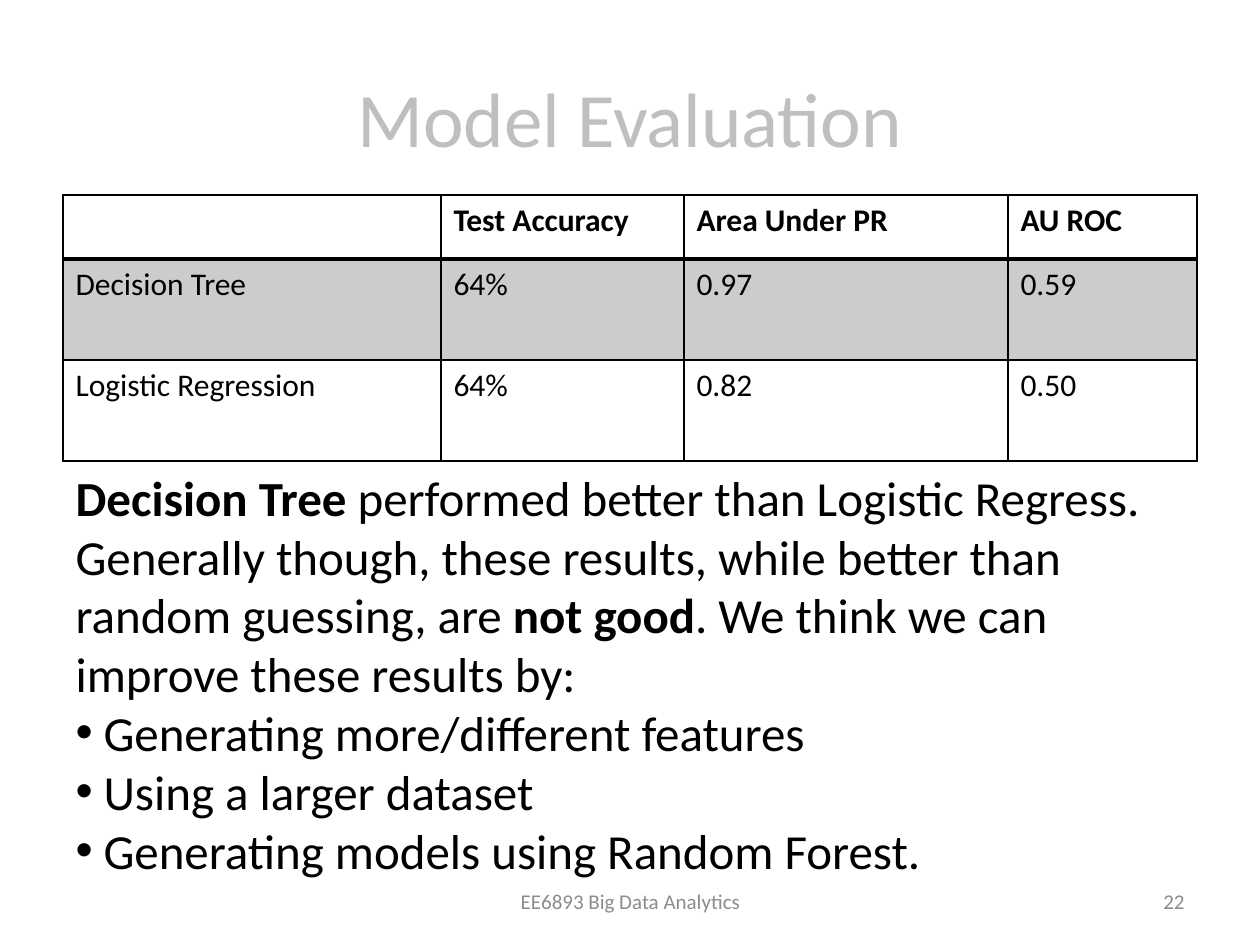
"""Build the model evaluation slide with its results table and conclusions."""
from dataclasses import dataclass

import pptx
import pptx.dml.color
import pptx.enum.text
import pptx.oxml.ns
import pptx.oxml.xmlchemy
import pptx.util
from lxml import etree

PX = 914400 // 126
FONT = "Calibri"
COLORS = {"title": "BFBFBF", "text": "000000", "footer": "8C8C8C",
          "band": "CCCCCC", "border": "000000"}
ALIGN = pptx.enum.text.PP_ALIGN
ANCHOR = pptx.enum.text.MSO_ANCHOR
COLUMNS = [378, 243, 324, 189]
ROWS = [64, 101, 101]
RESULTS = [
    ["", "Test Accuracy", "Area Under PR", "AU ROC"],
    ["Decision Tree", "64%", "0.97", "0.59"],
    ["Logistic Regression", "64%", "0.82", "0.50"],
]
BULLET_INDENT = 28


@dataclass
class Box:
    x: int
    y: int
    w: int
    h: int

    def emu(self) -> tuple[int, ...]:
        return tuple(v * PX for v in (self.x, self.y, self.w, self.h))


@dataclass
class Note:
    text: str
    box: Box
    align: ALIGN


@dataclass
class Para:
    runs: list[tuple[str, bool]]
    bullet: bool = False


NOTES = [
    Note("EE6893 Big Data Analytics", Box(431, 876, 399, 50), ALIGN.CENTER),
    Note("22", Box(903, 876, 294, 50), ALIGN.RIGHT),
]
BODY = [
    Para([("Decision Tree", True),
          (" performed better than Logistic Regress.", False)]),
    Para([("Generally though, these results, while better than random guessing, are ", False),
          ("not good", True),
          (". We think we can improve these results by:", False)]),
    Para([("Generating more/different features", False)], bullet=True),
    Para([("Using a larger dataset", False)], bullet=True),
    Para([("Generating models using Random Forest.", False)], bullet=True),
]


def rgb(name: str) -> pptx.dml.color.RGBColor:
    return pptx.dml.color.RGBColor.from_string(COLORS[name])


def sub(parent, tag: str, **attrs: str):
    return etree.SubElement(parent, pptx.oxml.ns.qn(tag), attrs)


def set_font(font, size: int, color: str) -> None:
    font.name, font.size = FONT, pptx.util.Pt(size)
    font.color.rgb = rgb(color)


def place(sp, box: Box) -> None:
    sp.left, sp.top, sp.width, sp.height = box.emu()


def add_borders(cell, header: bool, below_header: bool) -> None:
    tc_pr = cell._tc.get_or_add_tcPr()
    for i, side in enumerate("LRTB"):
        thick = (header and side == "B") or (below_header and side == "T")
        ln = etree.Element(pptx.oxml.ns.qn(f"a:ln{side}"),
                           {"w": str(pptx.util.Pt(2 if thick else 1))})
        sub(sub(ln, "a:solidFill"), "a:srgbClr", val=COLORS["border"])
        tc_pr.insert(i, ln)


def add_results(s, box: Box) -> None:
    table = s.shapes.add_table(len(ROWS), len(COLUMNS), *box.emu()).table
    table.first_row = table.horz_banding = False
    for column, width in zip(table.columns, COLUMNS):
        column.width = width * PX
    for i, (row, height) in enumerate(zip(table.rows, ROWS)):
        row.height = height * PX
        for cell, text in zip(row.cells, RESULTS[i]):
            cell.text = text
            p = cell.text_frame.paragraphs[0]
            set_font(p.font, 18, "text")
            p.font.bold = i == 0
            if i == 1:
                cell.fill.solid()
                cell.fill.fore_color.rgb = rgb("band")
            else:
                cell.fill.background()
            add_borders(cell, i == 0, i == 1)


def add_note(s, note: Note) -> None:
    tf = s.shapes.add_textbox(*note.box.emu()).text_frame
    tf.word_wrap, tf.vertical_anchor = True, ANCHOR.MIDDLE
    p = tf.paragraphs[0]
    p.text, p.alignment = note.text, note.align
    set_font(p.font, 12, "footer")


def fill_body(tf, paras: list[Para]) -> None:
    tf.auto_size = pptx.enum.text.MSO_AUTO_SIZE.NONE
    for i, para in enumerate(paras):
        p = tf.add_paragraph() if i else tf.paragraphs[0]
        p.space_before = pptx.util.Pt(0)
        set_font(p.font, 28, "text")
        for text, bold in para.runs:
            r = p.add_run()
            r.text, r.font.bold = text, bold
        p_pr = p._p.get_or_add_pPr()
        indent = BULLET_INDENT * PX if para.bullet else 0
        p_pr.set("marL", str(indent))
        p_pr.set("indent", str(-indent))
        bullet = etree.Element(pptx.oxml.ns.qn("a:buChar" if para.bullet else "a:buNone"))
        if para.bullet:
            bullet.set("char", "•")
        p_pr.find(pptx.oxml.ns.qn("a:defRPr")).addprevious(bullet)


def main() -> None:
    prs = pptx.Presentation()
    prs.slide_width, prs.slide_height = 1260 * PX, 945 * PX
    s = prs.slides.add_slide(prs.slide_layouts[1])
    title, body = s.placeholders
    place(title, Box(63, 38, 1134, 158))
    title.text_frame.text = "Model Evaluation"
    title.text_frame.vertical_anchor = ANCHOR.MIDDLE
    p = title.text_frame.paragraphs[0]
    p.alignment = ALIGN.CENTER
    set_font(p.font, 44, "title")
    add_results(s, Box(63, 195, sum(COLUMNS), sum(ROWS)))
    for note in NOTES:
        add_note(s, note)
    place(body, Box(63, 461, 1134, 428))
    fill_body(body.text_frame, BODY)
    prs.save("out.pptx")


if __name__ == "__main__":
    main()
